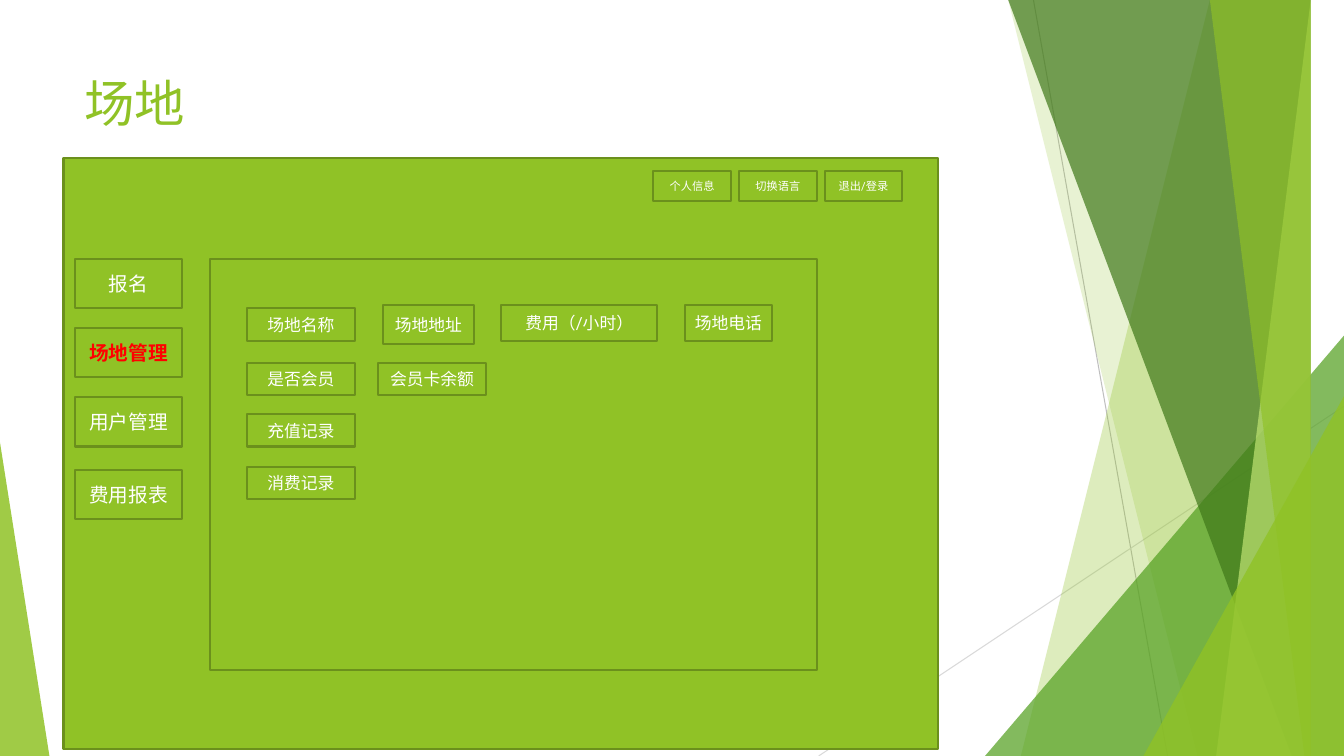
from lxml import etree
from pptx import Presentation
from pptx import util as u
from pptx.dml.color import RGBColor
from pptx.enum import shapes, text
from pptx.oxml.ns import qn

W, H = 13.33, 7.5
GREEN, EDGE, WHITE, RED = "90C226", "6B901C", "FFFFFF", "FF0000"


def paint(sp, fill, opacity=100, line=None):
    sp.shadow.inherit = False
    sp.fill.solid()
    sp.fill.fore_color.rgb = RGBColor.from_string(fill)
    if opacity < 100:
        color = sp.fill._xPr.find(qn("a:solidFill"))[0]
        etree.SubElement(color, qn("a:alpha"), val=str(opacity * 1000))
    if line:
        sp.line.color.rgb = RGBColor.from_string(line)
        sp.line.width = u.Pt(1.5)
    else:
        sp.line.fill.background()


def write(sp, words, size=12, color=WHITE, bold=False, align="CENTER", anchor="MIDDLE", inset=0, wrap=False):
    tf = sp.text_frame
    tf.word_wrap = wrap
    tf.vertical_anchor = text.MSO_ANCHOR[anchor]
    tf.margin_left = tf.margin_right = u.Inches(inset)
    tf.margin_top = tf.margin_bottom = u.Inches(inset / 2)
    p = tf.paragraphs[0]
    p.alignment = text.PP_ALIGN[align]
    r = p.add_run()
    r.text = words
    r.font.size = u.Pt(size)
    r.font.bold = bold
    r.font.name = "Roboto"
    r.font.color.rgb = RGBColor.from_string(color)
    etree.SubElement(r.font._element, qn("a:ea"), typeface="Roboto")


prs = Presentation()
prs.slide_width, prs.slide_height = u.Inches(W), u.Inches(H)
s = prs.slides.add_slide(prs.slide_layouts[6])

for x1, y1, x2, gray in [(10.25, 0, 11.58, "BFBFBF"), (W, 4.03, 8.12, "D9D9D9")]:
    c = s.shapes.add_connector(shapes.MSO_CONNECTOR.STRAIGHT, *map(u.Inches, (x1, y1, x2, H)))
    c.line.color.rgb = RGBColor.from_string(gray)
    c.line.width = u.Pt(0.75)
    etree.SubElement(c._element.spPr, qn("a:effectLst"))

facets = [
    ("band", 12.28, 10.04, GREEN, 30),
    ("band", 10.5, 11.83, GREEN, 20),
    ("triangle", 9.77, 3.56, 4.17, 1, "54A021", 72),
    ("band", 10.21, 12.91, "3F7819", 70),
    ("band", 13.03, 11.92, "C0E474", 70),
    ("band", 11.96, 13.18, GREEN, 65),
    ("triangle", 11.34, 1.99, 3.57, 1, GREEN, 80),
    ("triangle", 0, 0.49, 3.11, 0, GREEN, 85),
]
for kind, *geometry, fill, opacity in facets:
    if kind == "band":
        top_x, bottom_x = geometry
        fb = s.shapes.build_freeform(top_x, -0.01, scale=u.Inches(1))
        fb.add_line_segments([(W, -0.01), (W, H), (bottom_x, H)], close=True)
        sp = fb.convert_to_shape()
    else:
        x, w, h, apex = geometry
        sp = s.shapes.add_shape(shapes.MSO_SHAPE.ISOSCELES_TRIANGLE, *map(u.Inches, (x, H - h, w, h)))
        sp.adjustments[0] = apex
    paint(sp, fill, opacity)

title = s.shapes.add_textbox(*map(u.Inches, (0.74, 0.67, 9.4, 0.9)))
write(title, "场地", size=36, color=GREEN, align="LEFT", anchor="TOP", inset=0.1, wrap=True)

boxes = [(0.63, 1.57, 8.67, 5.86, "", {}), (2.08, 2.57, 6.02, 4.08, "", {})]
for i, words in enumerate(["个人信息", "切换语言", "退出/登录"]):
    boxes.append((6.48 + 0.85 * i, 1.7, 0.77, 0.29, words, {"size": 8}))

menu = [("报名", 2.57), ("场地管理", 3.25), ("用户管理", 3.94), ("费用报表", 4.66)]
for words, y in menu:
    active = words == "场地管理"
    boxes.append((0.74, y, 1.07, 0.49, words, {"size": 14, "bold": active, "color": RED if active else WHITE}))

fields = [
    (2.45, 3.06, 1.07, 0.32, "场地名称"),
    (3.8, 3.03, 0.9, 0.38, "场地地址"),
    (4.97, 3.03, 1.55, 0.35, "费用（/小时）"),
    (6.79, 3.03, 0.87, 0.35, "场地电话"),
    (2.45, 3.6, 1.07, 0.32, "是否会员"),
    (3.75, 3.6, 1.07, 0.32, "会员卡余额"),
    (2.45, 4.11, 1.07, 0.32, "充值记录"),
    (2.45, 4.63, 1.07, 0.32, "消费记录"),
]
boxes += [(*field, {}) for field in fields]

for x, y, w, h, words, fmt in boxes:
    sp = s.shapes.add_shape(shapes.MSO_SHAPE.RECTANGLE, *map(u.Inches, (x, y, w, h)))
    paint(sp, GREEN, line=EDGE)
    if words:
        write(sp, words, **fmt)

prs.save("out.pptx")
